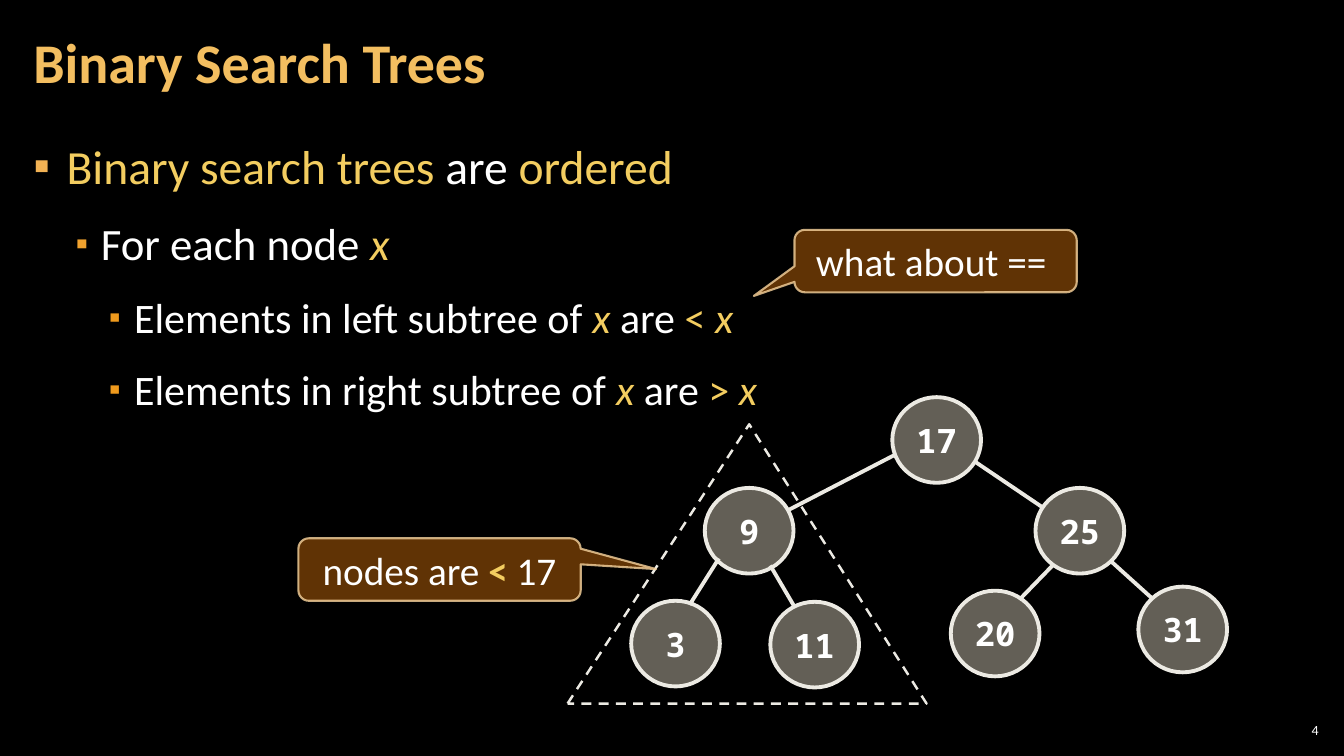
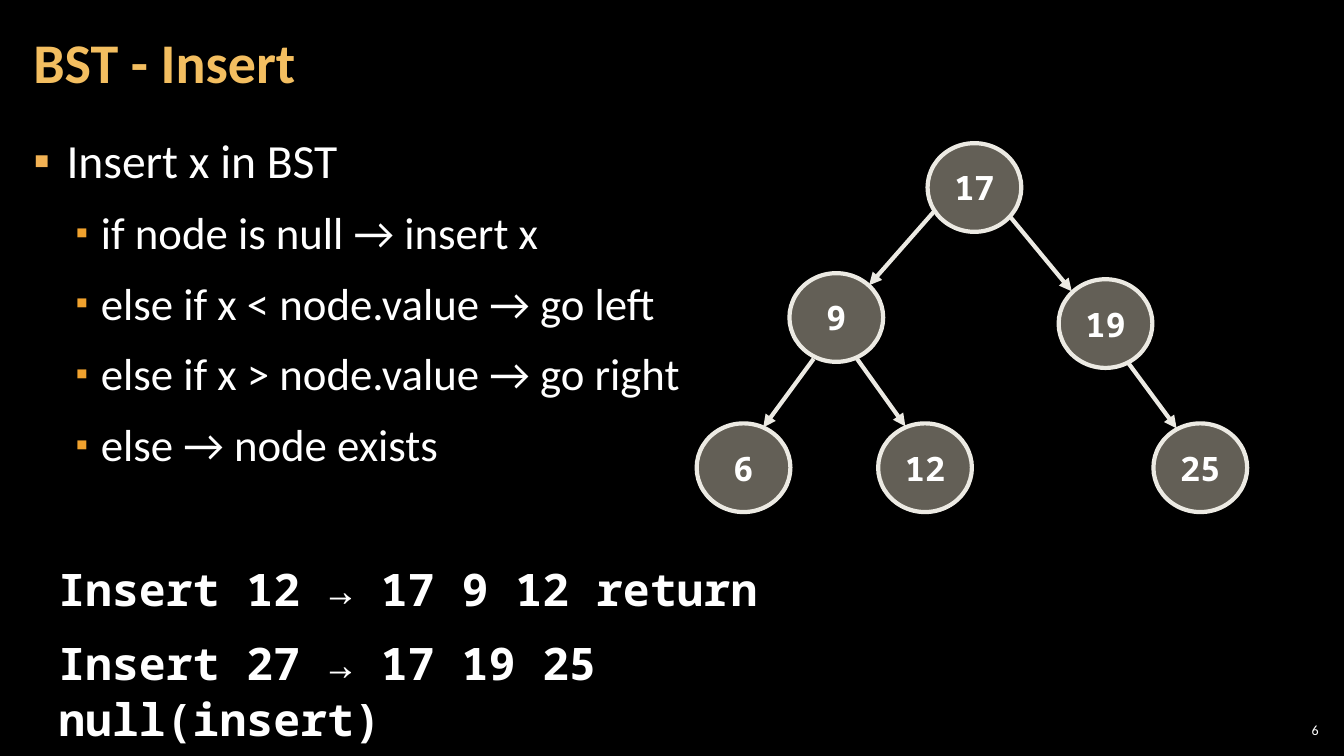
import lxml.etree
import pptx
import pptx.dml.color
import pptx.enum.dml
import pptx.enum.shapes
import pptx.enum.text
import pptx.oxml.ns
import pptx.util

Inches, Pt = pptx.util.Inches, pptx.util.Pt
RGBColor = pptx.dml.color.RGBColor
SHAPE = pptx.enum.shapes.MSO_SHAPE
ALIGN = pptx.enum.text.PP_ALIGN
MIDDLE = pptx.enum.text.MSO_ANCHOR.MIDDLE
TOP = pptx.enum.text.MSO_ANCHOR.TOP
qn = pptx.oxml.ns.qn

BLACK = RGBColor(0x00, 0x00, 0x00)
WHITE = RGBColor(0xFF, 0xFF, 0xFF)
TITLE_GOLD = RGBColor(0xF3, 0xBE, 0x60)
KEY_GOLD = RGBColor(0xF3, 0xCD, 0x60)
NODE_FILL = RGBColor(0xC7, 0xBF, 0xAC)
NODE_LINE = RGBColor(0xEC, 0xEA, 0xE3)
CALLOUT_FILL = RGBColor(0x66, 0x36, 0x06)
CALLOUT_LINE = RGBColor(0xF8, 0xD4, 0x9E)
BULLET_COLORS = [
    RGBColor(0xF2, 0xB2, 0x54),
    RGBColor(0xF0, 0xA2, 0x2E),
    RGBColor(0xEF, 0x9A, 0x1D),
]

SANS, MONO = "Calibri", "Noto Sans Mono"
LEVEL_SIZES = [34, 32, 30]
LEVEL_INDENTS = [(0.33, -0.33), (0.67, -0.25), (1, -0.25)]
LEVEL_BULLET_PERCENTS = [100, 80, 80]

KEY = {"color": KEY_GOLD}
KEY_BOLD = {"color": KEY_GOLD, "bold": True}
KEY_ITALIC = {"color": KEY_GOLD, "italic": True}

SLIDES = [
    {
        "title": "Binary Search Trees",
        "number": "4",
        "line_spacing": 1.1,
        "bullets": [
            (0, [("Binary search trees ", KEY), ("are ", {}), ("ordered", KEY)]),
            (1, [("For each node ", {}), ("x", KEY_ITALIC)]),
            (2, [("Elements in left subtree of ", {}), ("x", KEY_ITALIC),
                 (" are ", {}), ("< ", KEY), ("x", KEY_ITALIC)]),
            (2, [("Elements in right subtree of ", {}), ("x", KEY_ITALIC),
                 (" are ", {}), ("> ", KEY), ("x", KEY_ITALIC)]),
        ],
        "node_size": (0.88, 0.85),
        "line_width": 2.75,
        "arrows": False,
        "nodes": [
            ("17", 8.85, 3.94), ("9", 6.99, 4.84), ("25", 10.27, 4.84),
            ("3", 6.26, 5.96), ("11", 7.64, 5.97), ("20", 9.43, 5.86),
            ("31", 11.29, 5.82),
        ],
        "edges": [
            (8.88, 4.51, 7.82, 5.06), (9.67, 4.58, 10.35, 5.04),
            (7.13, 5.54, 6.84, 6), (7.64, 5.61, 7.88, 6.02),
            (10.44, 5.61, 10.11, 5.95), (11.01, 5.56, 11.42, 5.93),
        ],
        "subtree": (5.63, 4.21, 3.56, 2.77),
        "callouts": [
            (2.96, 5.34, (0.767, -0.007, 0.167),
             [("nodes are ", {}), ("<", KEY_BOLD), (" 17", {})]),
            (7.88, 2.28, (-0.644, 0.558, 0.167), "what about == "),
        ],
        "trace": [],
    },
    {
        "title": "BST - Insert",
        "number": "6",
        "line_spacing": 1.0,
        "bullets": [
            (0, "Insert x in BST"),
            (1, "if node is null → insert x"),
            (1, "else if x < node.value → go left"),
            (1, "else if x > node.value → go right"),
            (1, "else → node exists"),
        ],
        "node_size": (0.93, 0.88),
        "line_width": 3,
        "arrows": True,
        "nodes": [
            ("17", 9.2, 1.42), ("9", 7.83, 2.71), ("19", 10.5, 2.77),
            ("6", 6.91, 4.2), ("12", 8.71, 4.2), ("25", 11.44, 4.2),
        ],
        "edges": [
            (9.28, 2.08, 8.62, 2.83), (10.01, 2.14, 10.63, 2.89),
            (8.07, 3.56, 7.57, 4.24), (8.5, 3.56, 8.98, 4.23),
            (11.19, 3.6, 11.67, 4.25),
        ],
        "subtree": None,
        "callouts": [],
        "trace": ["Insert 12 → 17 9 12 return", "Insert 27 → 17 19 25 null(insert)"],
    },
]


def inches(*lengths):
    return [Inches(length) for length in lengths]


def write(paragraph, text, size, font=SANS, color=WHITE, bold=False, italic=False,
          align=ALIGN.LEFT, line_spacing=1.0, before=0, after=0):
    paragraph.alignment = align
    paragraph.line_spacing = line_spacing
    paragraph.space_before, paragraph.space_after = Pt(before), Pt(after)
    base = {"color": color, "bold": bold, "italic": italic}
    for words, changes in [(text, {})] if isinstance(text, str) else text:
        look = {**base, **changes}
        run = paragraph.add_run()
        run.text = words
        run.font.name, run.font.size = font, Pt(size)
        run.font.bold, run.font.italic = look["bold"], look["italic"]
        run.font.color.rgb = look["color"]


def set_frame(frame, anchor=MIDDLE, wrap=True, margins=(0.1, 0.05)):
    frame.auto_size = pptx.enum.text.MSO_AUTO_SIZE.NONE
    frame.word_wrap = wrap
    frame.vertical_anchor = anchor
    frame.margin_left = frame.margin_right = Inches(margins[0])
    frame.margin_top = frame.margin_bottom = Inches(margins[1])
    return frame


def paragraphs(frame, count):
    return [frame.paragraphs[0]] + [frame.add_paragraph() for _ in range(count - 1)]


def place(placeholder, *box):
    placeholder.left, placeholder.top, placeholder.width, placeholder.height = inches(*box)


def add_bullet(paragraph, level):
    paragraph.level = level
    properties = paragraph._p.get_or_add_pPr()
    margin, indent = LEVEL_INDENTS[level]
    properties.set("marL", str(Inches(margin)))
    properties.set("indent", str(Inches(indent)))
    color = lxml.etree.SubElement(properties, qn("a:buClr"))
    lxml.etree.SubElement(color, qn("a:srgbClr"), val=str(BULLET_COLORS[level]))
    lxml.etree.SubElement(properties, qn("a:buSzPct"),
                          val=str(LEVEL_BULLET_PERCENTS[level] * 1000))
    lxml.etree.SubElement(properties, qn("a:buFont"), typeface="Arial")
    lxml.etree.SubElement(properties, qn("a:buChar"), char="▪")


def set_opacity(fill_parent, percent):
    color = fill_parent.find(qn("a:solidFill")).find(qn("a:srgbClr"))
    lxml.etree.SubElement(color, qn("a:alpha"), val=str(percent * 1000))


def add_outlined(slide, kind, box, line_color, line_width, fill=None, opacity=100):
    shape = slide.shapes.add_shape(kind, *inches(*box))
    shape.shadow.inherit = False
    shape.line.color.rgb = line_color
    shape.line.width = Pt(line_width)
    if fill is None:
        shape.fill.background()
    else:
        shape.fill.solid()
        shape.fill.fore_color.rgb = fill
        set_opacity(shape._element.spPr, opacity)
    return shape


def add_edge(slide, ends, width, arrow):
    edge = slide.shapes.add_connector(
        pptx.enum.shapes.MSO_CONNECTOR.STRAIGHT, *inches(*ends))
    edge.line.color.rgb = NODE_LINE
    edge.line.width = Pt(width)
    if arrow:
        lxml.etree.SubElement(edge.line._get_or_add_ln(), qn("a:tailEnd"), type="triangle")
    lxml.etree.SubElement(edge._element.spPr, qn("a:effectLst"))


def add_tree(slide, content):
    for label, left, top in content["nodes"]:
        node = add_outlined(slide, SHAPE.OVAL, (left, top, *content["node_size"]),
                            NODE_LINE, content["line_width"], NODE_FILL, 50)
        frame = set_frame(node.text_frame, wrap=False)
        write(frame.paragraphs[0], label, 24, font=MONO, bold=True, align=ALIGN.CENTER)
    for ends in content["edges"]:
        add_edge(slide, ends, content["line_width"], content["arrows"])
    if content["subtree"]:
        subtree = add_outlined(slide, SHAPE.ISOSCELES_TRIANGLE, content["subtree"],
                               NODE_LINE, 1.75)
        subtree.adjustments[0] = 0.506
        subtree.line.dash_style = pptx.enum.dml.MSO_LINE.DASH


def add_callout(slide, left, top, pointer, text):
    callout = add_outlined(slide, SHAPE.ROUNDED_RECTANGULAR_CALLOUT,
                           (left, top, 2.8, 0.62), CALLOUT_LINE, 1.5, CALLOUT_FILL, 95)
    set_opacity(callout.line._get_or_add_ln(), 80)
    for index, value in enumerate(pointer):
        callout.adjustments[index] = value
    write(set_frame(callout.text_frame).paragraphs[0], text, 28, align=ALIGN.CENTER)


def add_slide(deck, content):
    slide = deck.slides.add_slide(deck.slide_layouts[1])
    title, body = slide.placeholders

    number = slide.shapes.add_textbox(*inches(12.65, 7.14, 0.47, 0.21))
    frame = set_frame(number.text_frame, margins=(0.04, 0.04))
    write(frame.paragraphs[0], content["number"], 10, align=ALIGN.RIGHT)

    place(title, 0.21, 0.04, 10.47, 1.21)
    frame = set_frame(title.text_frame, margins=(0.12, 0.04))
    write(frame.paragraphs[0], content["title"], 40, color=TITLE_GOLD, bold=True,
          line_spacing=0.9)

    place(body, 0.21, 1.26, 12.91, 6.09)
    frame = set_frame(body.text_frame, anchor=TOP, margins=(0.12, 0.04))
    bullets = content["bullets"]
    for index, (paragraph, (level, text)) in enumerate(
            zip(paragraphs(frame, len(bullets)), bullets)):
        add_bullet(paragraph, level)
        write(paragraph, text, LEVEL_SIZES[level], line_spacing=content["line_spacing"],
              before=6 if index else 0, after=6)

    add_tree(slide, content)
    for callout in content["callouts"]:
        add_callout(slide, *callout)

    trace = content["trace"]
    if trace:
        steps = slide.shapes.add_textbox(*inches(0.48, 5.5, 8.94, 1.4))
        frame = set_frame(steps.text_frame, anchor=TOP)
        for index, (paragraph, text) in enumerate(zip(paragraphs(frame, len(trace)), trace)):
            write(paragraph, text, 32, font=MONO, bold=True, line_spacing=1.05,
                  before=6 if index else 0, after=6)


def main():
    deck = pptx.Presentation()
    deck.slide_width, deck.slide_height = inches(13.33, 7.5)
    background = deck.slide_master.background.fill
    background.solid()
    background.fore_color.rgb = BLACK
    for content in SLIDES:
        add_slide(deck, content)
    deck.save("out.pptx")


if __name__ == "__main__":
    main()
